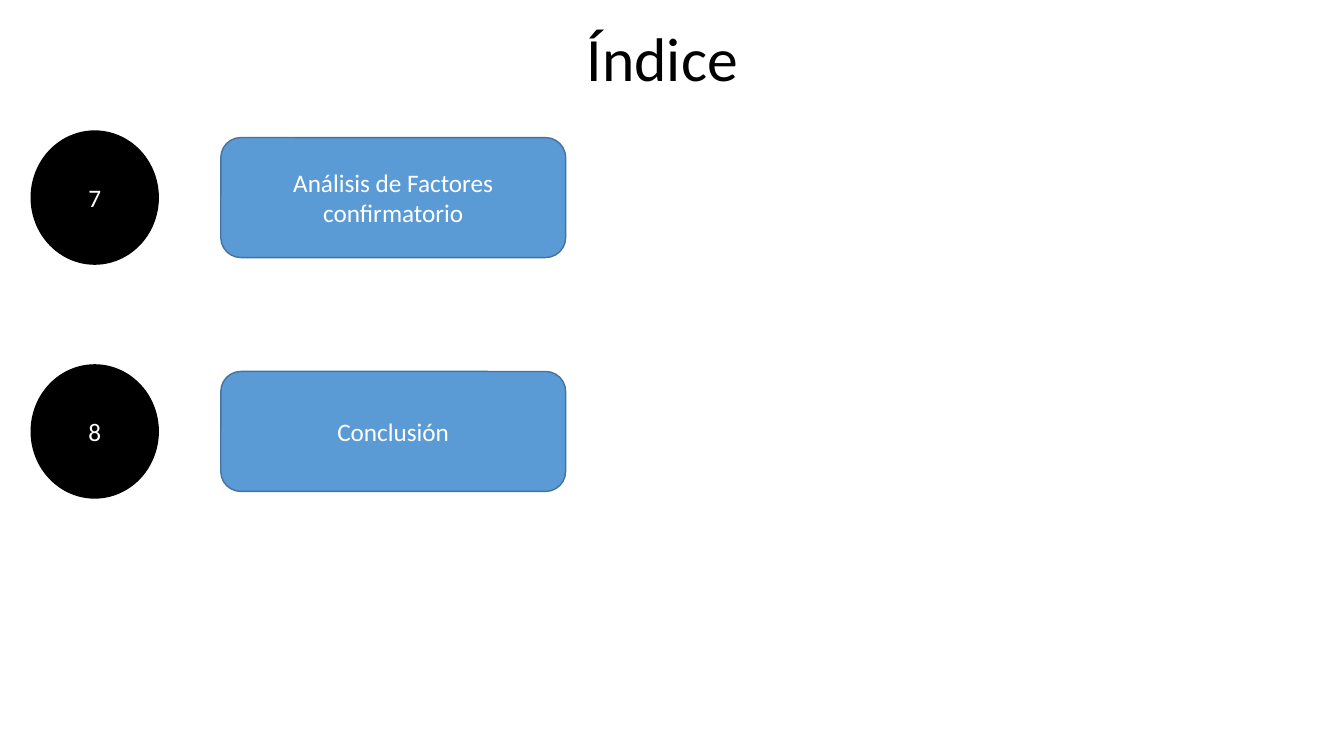
from pptx import Presentation
from pptx.dml.color import RGBColor
from pptx.enum.shapes import MSO_SHAPE as Shape
from pptx.enum.text import MSO_ANCHOR as Anchor, PP_ALIGN as Align
from pptx.util import Inches, Pt

COLOURS = {
    "black": "000000",
    "white": "FFFFFF",
    "blue": "5B9BD5",
    "dark_blue": "43739E",
}
SECTIONS = [("7", "Análisis de Factores confirmatorio"), ("8", "Conclusión")]
FIRST_CENTRE = 1.96
ROW_PITCH = 2.32


def colour(name):
    return RGBColor.from_string(COLOURS[name])


def write(shape, text, size, text_colour):
    frame = shape.text_frame
    frame.text = text
    frame.word_wrap = True
    frame.vertical_anchor = Anchor.MIDDLE
    paragraph = frame.paragraphs[0]
    paragraph.alignment = Align.CENTER
    font_format = {"name": "Calibri", "size": Pt(size)}
    for attribute, value in font_format.items():
        setattr(paragraph.font, attribute, value)
    paragraph.font.color.rgb = colour(text_colour)
    return paragraph


def add_title(slide, text):
    title = slide.shapes.title
    place = {"left": 0.93, "top": 0.13, "width": 11.28, "height": 0.97}
    for attribute, value in place.items():
        setattr(title, attribute, Inches(value))
    write(title, text, 44, "black").line_spacing = 0.9


def add_label(slide, kind, left, centre, width, height, text, fill, line):
    """Add a filled shape with white text, centred vertically on centre."""
    label = slide.shapes.add_shape(
        kind, Inches(left), Inches(centre - height / 2), Inches(width), Inches(height)
    )
    label.shadow.inherit = False
    label.fill.solid()
    label.fill.fore_color.rgb = colour(fill)
    label.line.color.rgb = colour(line)
    label.line.width = Pt(1)
    write(label, text, 18, "white")


def main():
    deck = Presentation()
    deck.slide_width, deck.slide_height = Inches(13.33), Inches(7.5)
    slide = deck.slides.add_slide(deck.slide_layouts[5])
    add_title(slide, "Índice")
    for row, (number, section) in enumerate(SECTIONS):
        centre = FIRST_CENTRE + row * ROW_PITCH
        add_label(slide, Shape.OVAL, 0.31, centre, 1.26, 1.32,
                  number, "black", "black")
        add_label(slide, Shape.ROUNDED_RECTANGLE, 2.19, centre, 3.42, 1.19,
                  section, "blue", "dark_blue")
    deck.save("out.pptx")


if __name__ == "__main__":
    main()
